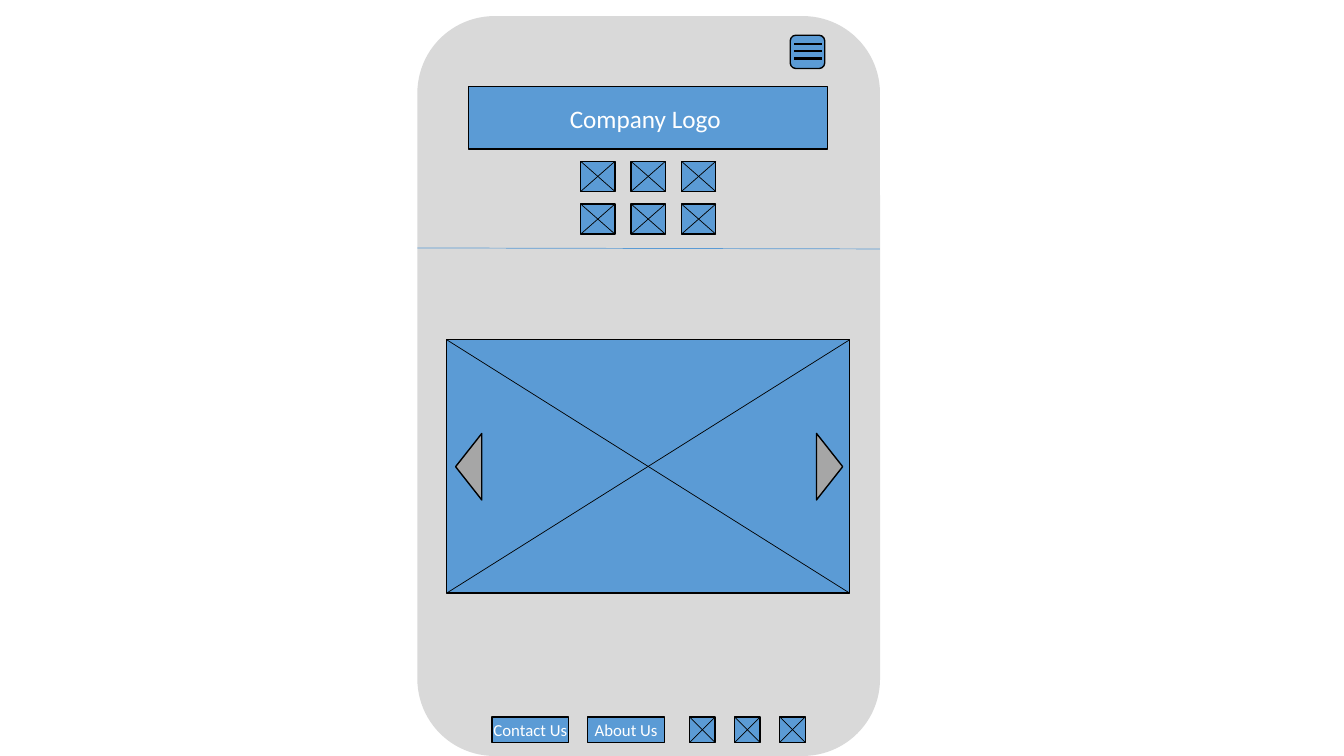
from lxml import etree
from pptx import Presentation
from pptx import util as u
from pptx.dml.color import RGBColor
from pptx.enum import shapes, text
from pptx.oxml.ns import qn

prs = Presentation()
prs.slide_width, prs.slide_height = u.Inches(13.333), u.Inches(7.5)
s = prs.slides.add_slide(prs.slide_layouts[6])
cell = prs.slide_height / 90
BLUE, BLACK, WHITE = "5B9BD5", "000000", "FFFFFF"
RECT = shapes.MSO_SHAPE.RECTANGLE
ROUND = shapes.MSO_SHAPE.ROUNDED_RECTANGLE
TRIANGLE = shapes.MSO_SHAPE.ISOSCELES_TRIANGLE


def add_box(kind, x, y, w, h, fill=BLUE, line=BLACK, label="", size=12, inset=0):
    sp = s.shapes.add_shape(kind, *[round(v * cell) for v in (x, y, w, h)])
    sp.shadow.inherit = False
    sp.fill.solid()
    sp.fill.fore_color.rgb = RGBColor.from_string(fill)
    if line:
        sp.line.color.rgb = RGBColor.from_string(line)
        sp.line.width = u.Pt(1)
    else:
        sp.line.fill.background()
    if label:
        tf = sp.text_frame
        tf.margin_left = tf.margin_right = u.Inches(inset)
        tf.margin_top = tf.margin_bottom = u.Inches(inset / 2)
        tf.vertical_anchor = text.MSO_ANCHOR.MIDDLE
        p = tf.paragraphs[0]
        p.alignment = text.PP_ALIGN.CENTER
        r = p.add_run()
        r.text = label
        r.font.size, r.font.name = u.Pt(size), "Calibri"
        r.font.color.rgb = RGBColor.from_string(WHITE)
    return sp


def add_line(x1, y1, x2, y2, width=0.5, color=BLACK):
    ln = s.shapes.add_connector(shapes.MSO_CONNECTOR.STRAIGHT,
                                *[round(v * cell) for v in (x1, y1, x2, y2)])
    ln.line.color.rgb = RGBColor.from_string(color)
    ln.line.width = u.Pt(width)
    etree.SubElement(ln._element.spPr, qn("a:effectLst"))


left, right = 49.68, 104.76
add_box(ROUND, left, 1.92, right - left, 88.08, "D9D9D9", None)
add_box(RECT, 55.8, 10.32, 42.72, 7.44, label="Company Logo ", size=18, inset=0.1)

add_box(ROUND, 94.08, 4.2, 4.1, 3.96)
for i in range(3):
    y = 5.28 + 0.84 * i
    add_line(94.56, y, 97.8, y, 1.5)

for i, label in enumerate(["Contact Us", "About Us"]):
    add_box(RECT, 58.56 + 11.4 * i, 85.35, 9.15, 3.05, label=label)

add_line(left, 29.52, right, 29.64, color=BLUE)

images = [(69.12 + 6 * col, 19.2 + 5.08 * row, 4.1, 3.6)
          for row in range(2) for col in range(3)]
images += [(82.08 + 5.37 * col, 85.35, 3.05, 3.05) for col in range(3)]
images.append((53.16, 40.44, 48, 30.18))
for x, y, w, h in images:
    add_box(RECT, x, y, w, h)
    add_line(x, y, x + w, y + h)
    add_line(x, y + h, x + w, y)

for x, angle in [(51.84, 270), (94.8, 90)]:
    sp = add_box(TRIANGLE, x, 54, 7.92, 3.12, "A6A6A6")
    sp.rotation = angle

prs.save("out.pptx")
